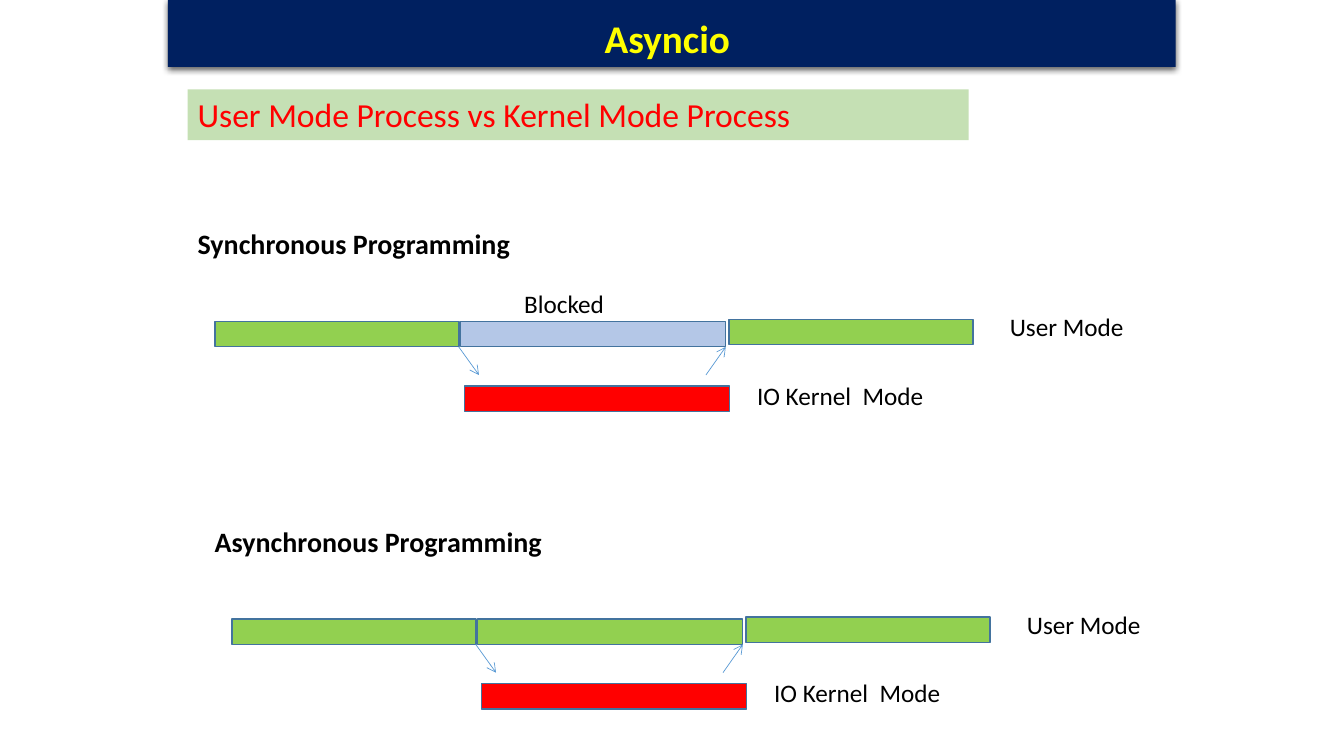
from lxml import etree
from pptx import Presentation
from pptx.dml.color import RGBColor
from pptx.enum.shapes import MSO_CONNECTOR as CONN, MSO_SHAPE as SHAPE
from pptx.enum.text import MSO_ANCHOR as ANCHOR, PP_ALIGN as ALIGN
from pptx.oxml import parse_xml
from pptx.oxml.ns import nsdecls, qn
from pptx.util import Cm, Pt

NAVY = RGBColor(0x00, 0x20, 0x60)
YELLOW = RGBColor(0xFF, 0xFF, 0x00)
PALE_GREEN = RGBColor(0xC5, 0xE0, 0xB4)
GREEN = RGBColor(0x92, 0xD0, 0x50)
BLUE = RGBColor(0xB4, 0xC7, 0xE7)
RED = RGBColor(0xFF, 0x00, 0x00)
BLACK = RGBColor(0x00, 0x00, 0x00)
OUTLINE = RGBColor(0x43, 0x73, 0x9E)
ARROW = RGBColor(0x5B, 0x9B, 0xD5)

SHADOW = (
    f'<a:effectLst {nsdecls("a")}>'
    '<a:outerShdw blurRad="57150" dist="19050" dir="5400000" algn="ctr" rotWithShape="0">'
    '<a:srgbClr val="000000"><a:alpha val="63000"/></a:srgbClr>'
    '</a:outerShdw></a:effectLst>'
)


def write(sp, text, size, color, bold=False, align=ALIGN.LEFT):
    """Put one styled paragraph into a shape and return it."""
    tf = sp.text_frame
    tf.word_wrap = True
    p = tf.paragraphs[0]
    p.text = text
    p.alignment = align
    p.font.name = "Calibri"
    p.font.size = Pt(size)
    p.font.bold = bold
    p.font.color.rgb = color
    return p


def add_bar(s, x, y, w, h, fill, outline=None):
    """Add a flat rectangle, outlined if a colour is given."""
    sp = s.shapes.add_shape(SHAPE.RECTANGLE, Cm(x), Cm(y), Cm(w), Cm(h))
    sp.shadow.inherit = False
    sp.fill.solid()
    sp.fill.fore_color.rgb = fill
    if outline is None:
        sp.line.fill.background()
    else:
        sp.line.color.rgb = outline
        sp.line.width = Pt(1)
    return sp


def add_label(s, x, y, w, h, text, size=18, bold=False):
    """Add a black text label."""
    sp = s.shapes.add_textbox(Cm(x), Cm(y), Cm(w), Cm(h))
    write(sp, text, size, BLACK, bold)


def add_arrow(s, x1, y1, x2, y2):
    """Add a thin line with an open arrowhead at its end."""
    line = s.shapes.add_connector(CONN.STRAIGHT, Cm(x1), Cm(y1), Cm(x2), Cm(y2))
    line.line.color.rgb = ARROW
    line.line.width = Pt(0.5)
    etree.SubElement(line.line._get_or_add_ln(), qn("a:tailEnd"), type="arrow")
    etree.SubElement(line._element.spPr, qn("a:effectLst"))


def add_title(s, x, y, w, h):
    """Add the shadowed title band."""
    sp = add_bar(s, x, y, w, h, NAVY)
    sp_pr = sp._element.spPr
    sp_pr.replace(sp_pr.find(qn("a:effectLst")), parse_xml(SHADOW))
    sp.text_frame.vertical_anchor = ANCHOR.BOTTOM
    p = write(sp, "Asyncio ", 28, YELLOW, True, ALIGN.CENTER)
    p.line_spacing = 0.9


def add_subtitle(s, x, y, w, h):
    """Add the subtitle band."""
    sp = add_bar(s, x, y, w, h, PALE_GREEN)
    sp.text_frame.vertical_anchor = ANCHOR.TOP
    write(sp, "User Mode Process vs Kernel Mode Process", 24, RED)


def add_timeline(s, x, y, heading, middle_fill, middle_label=None):
    """Add a heading with its user mode and kernel mode bars."""
    user_w, io_w, bar_h = 6.15, 6.68, 0.64
    add_label(s, x, y, 12.5, 1.12, heading, 20, True)
    for dx, dy, w, fill in (
        (0.69, 2.51, user_w, GREEN),
        (6.88, 2.51, io_w, middle_fill),
        (13.64, 2.46, user_w, GREEN),
        (6.98, 4.14, io_w, RED),
    ):
        add_bar(s, x + dx, y + dy, w, bar_h, fill, OUTLINE)
    add_label(s, x + 20.47, y + 2.13, 4.01, 1.02, "User Mode")
    add_label(s, x + 14.1, y + 3.86, 5.69, 1.02, "IO Kernel  Mode")
    if middle_label:
        add_label(s, x + 8.23, y + 1.55, 4.01, 1.02, middle_label)
    top, bottom = y + 3.15, y + 3.86
    add_arrow(s, x + 6.83, top, x + 7.34, bottom)
    add_arrow(s, x + 13.06, bottom, x + 13.56, top)


def main():
    """Build the slide and save it."""
    prs = Presentation()
    prs.slide_width, prs.slide_height = Cm(33.87), Cm(19.05)
    s = prs.slides.add_slide(prs.slide_layouts[6])
    add_title(s, 4.23, 0, 25.4, 1.69)
    add_subtitle(s, 4.73, 2.25, 19.68, 1.28)
    add_timeline(s, 4.73, 5.59, "Synchronous Programming", BLUE, "Blocked")
    add_timeline(s, 5.16, 13.09, "Asynchronous Programming", GREEN)
    prs.save("out.pptx")


if __name__ == "__main__":
    main()
